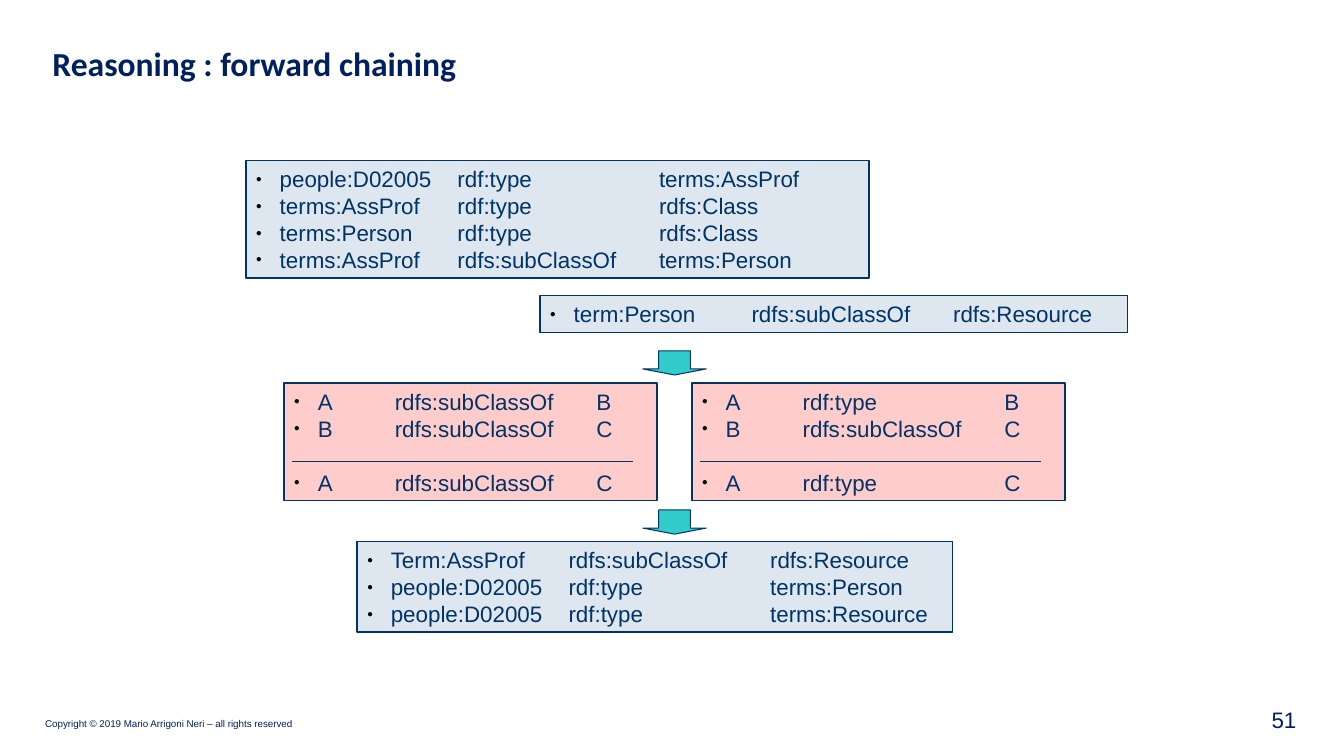
from lxml import etree
from pptx import Presentation, util as u
from pptx.dml.color import RGBColor
from pptx.enum import shapes, text
from pptx.oxml.ns import qn

# Content: triples of subject, predicate, object
TITLE = "Reasoning : forward chaining"
NOTICE = "Copyright © 2019 Mario Arrigoni Neri – all rights reserved"
PAGE = "51"
FACTS = [
    ("people:D02005", "rdf:type", "terms:AssProf"),
    ("terms:AssProf", "rdf:type", "rdfs:Class"),
    ("terms:Person", "rdf:type", "rdfs:Class"),
    ("terms:AssProf", "rdfs:subClassOf", "terms:Person"),
]
AXIOM = [("term:Person", "rdfs:subClassOf", "rdfs:Resource")]
RULES = [
    [("A", "rdfs:subClassOf", "B"), ("B", "rdfs:subClassOf", "C"),
     ("A", "rdfs:subClassOf", "C")],
    [("A", "rdf:type", "B"), ("B", "rdfs:subClassOf", "C"),
     ("A", "rdf:type", "C")],
]
RESULT = [
    ("Term:AssProf", "rdfs:subClassOf", "rdfs:Resource"),
    ("people:D02005", "rdf:type", "terms:Person"),
    ("people:D02005", "rdf:type", "terms:Resource"),
]


class Theme:
    navy, ink, black = "002060", "003366", "000000"
    fact, rule, arrow = "DEE6EF", "FFCCCC", "33CCCC"
    head, body = "Calibri", "Arial"
    big, mid, small = 24, 16, 7
    thick, thin = 1, 0.75


# Layout, in centimetres
PAD_X, PAD_Y = 0.25, 0.13
LINE = 0.68
TAB = 2.54
INDENT = 0.6
MID = 17.0
RULE_W, RULE_H, RULE_Y, RULE_GAP = 9.4, 2.97, 9.65, 0.88
ARROW_W, ARROW_H = 1.6, 0.61

prs = Presentation()
prs.slide_width, prs.slide_height = u.Cm(33.87), u.Cm(19.05)
slide = prs.slides.add_slide(prs.slide_layouts[5])


def rgb(code):
    return RGBColor.from_string(code)


def place(shape, x, y, w, h):
    shape.left, shape.top, shape.width, shape.height = map(u.Cm, (x, y, w, h))


def write(shape, lines, size=Theme.mid, font=Theme.body, color=Theme.ink,
          bold=False, align=text.PP_ALIGN.LEFT, anchor=text.MSO_ANCHOR.TOP,
          pad=(PAD_X, PAD_Y), wrap=True, tabs=(), last_gap=0):
    """Fill a shape with lines; tabs (cm) turn them into bulleted columns."""
    frame = shape.text_frame
    frame.word_wrap, frame.vertical_anchor = wrap, anchor
    frame.auto_size = text.MSO_AUTO_SIZE.NONE
    frame.margin_left = frame.margin_right = u.Cm(pad[0])
    frame.margin_top = frame.margin_bottom = u.Cm(pad[1])
    frame.text = "\n".join(lines)
    for para in frame.paragraphs:
        if tabs:
            add_bullet(para, tabs)
        para.alignment = align
        para.font.size, para.font.name = u.Pt(size), font
        para.font.bold, para.font.color.rgb = bold, rgb(color)
    if last_gap:
        para.space_before = u.Cm(last_gap)


def add_bullet(para, tabs):
    props = para._p.get_or_add_pPr()
    props.set("marL", str(u.Cm(INDENT)))
    props.set("indent", str(-u.Cm(INDENT)))
    tint = etree.SubElement(props, qn("a:buClr"))
    etree.SubElement(tint, qn("a:srgbClr"), val=Theme.black)
    etree.SubElement(props, qn("a:buSzPct"), val="45000")
    etree.SubElement(props, qn("a:buFont"), typeface=Theme.body)
    etree.SubElement(props, qn("a:buChar"), char="●")
    stops = etree.SubElement(props, qn("a:tabLst"))
    for pos in tabs:
        etree.SubElement(stops, qn("a:tab"), pos=str(u.Cm(pos)), algn="l")


def add_form(kind, x, y, w, h, fill, width):
    form = slide.shapes.add_shape(kind, *map(u.Cm, (x, y, w, h)))
    form.shadow.inherit = False
    form.fill.solid()
    form.fill.fore_color.rgb = rgb(fill)
    form.line.color.rgb, form.line.width = rgb(Theme.ink), u.Pt(width)
    return form


def add_box(triples, x, y, w, h, fill=Theme.fact, cols=(2, 4), gap=0):
    box = add_form(shapes.MSO_SHAPE.RECTANGLE, x, y, w, h, fill, Theme.thick)
    write(box, ["\t".join(row) for row in triples],
          tabs=[col * TAB for col in cols], last_gap=gap)


def add_arrow(y):
    arrow = add_form(shapes.MSO_SHAPE.DOWN_ARROW, MID - ARROW_W / 2, y,
                     ARROW_W, ARROW_H, Theme.arrow, Theme.thin)
    arrow.adjustments[0], arrow.adjustments[1] = 0.5, 0.25


def add_bar(x, y, w):
    bar = slide.shapes.add_connector(
        shapes.MSO_CONNECTOR.STRAIGHT, *map(u.Cm, (x, y, x + w, y)))
    bar.line.color.rgb, bar.line.width = rgb(Theme.ink), u.Pt(Theme.thin)
    etree.SubElement(bar._element.spPr, qn("a:effectLst"))


# Title, copyright line and page number
title = slide.shapes.title
place(title, 1.07, 0.94, 31.78, 1.65)
write(title, [TITLE], size=Theme.big, font=Theme.head, color=Theme.navy,
      bold=True)
notice = slide.shapes.add_textbox(*map(u.Cm, (1.09, 18.01, 6.32, 0.41)))
write(notice, [NOTICE], size=Theme.small, color=Theme.navy, wrap=False,
      pad=(0.05, 0.05), anchor=text.MSO_ANCHOR.BOTTOM)
page = slide.shapes.add_textbox(*map(u.Cm, (31.52, 17.68, 1.4, 0.89)))
write(page, [PAGE], color=Theme.navy, align=text.PP_ALIGN.RIGHT,
      anchor=text.MSO_ANCHOR.MIDDLE)

# Known facts
add_box(FACTS, 6.2, 4.04, 15.7, 2.97)
add_box(AXIOM, 13.61, 7.44, 14.8, 0.94)

# Inference rules, premises above the bar
add_arrow(8.84)
for i, rule in enumerate(RULES):
    left = MID - RULE_GAP / 2 - RULE_W + i * (RULE_W + RULE_GAP)
    add_box(rule, left, RULE_Y, RULE_W, RULE_H, Theme.rule, (1, 3), LINE)
    add_bar(left + 0.2, RULE_Y + 1.98, 8.6)

# Derived facts
add_arrow(12.85)
add_box(RESULT, 9.0, 13.64, 15.0, 2.29)

prs.save("out.pptx")
